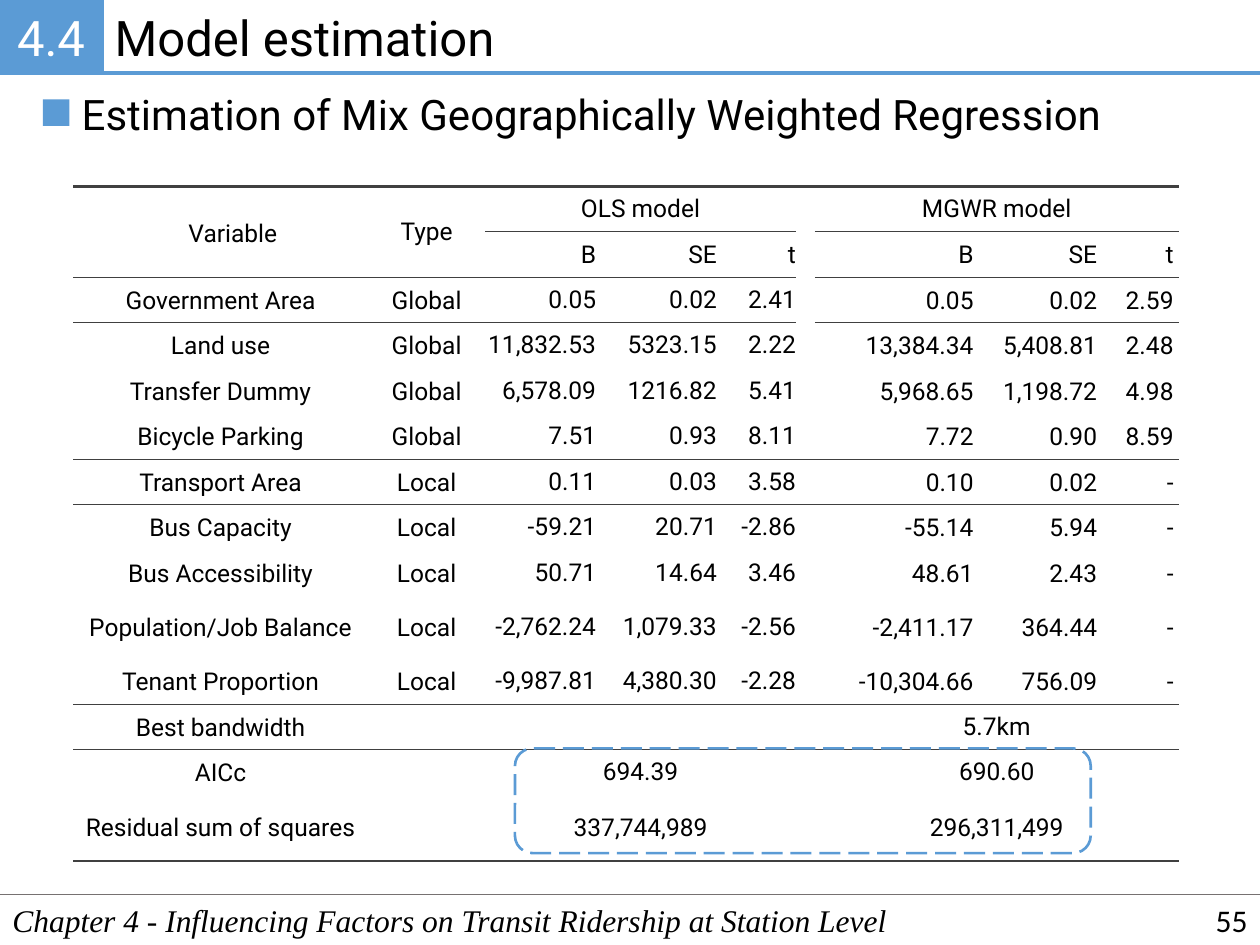
from lxml import etree
from pptx import Presentation
from pptx.dml.color import RGBColor
from pptx.enum.dml import MSO_LINE
from pptx.enum.shapes import MSO_CONNECTOR, MSO_SHAPE
from pptx.enum.text import MSO_ANCHOR, MSO_AUTO_SIZE, PP_ALIGN
from pptx.oxml.ns import qn
from pptx.util import Pt

LEFT, CENTER, RIGHT = PP_ALIGN.LEFT, PP_ALIGN.CENTER, PP_ALIGN.RIGHT
TOP, MIDDLE = MSO_ANCHOR.TOP, MSO_ANCHOR.MIDDLE
RECT, ROUND = MSO_SHAPE.RECTANGLE, MSO_SHAPE.ROUNDED_RECTANGLE
STRAIGHT = MSO_CONNECTOR.STRAIGHT
DASH = MSO_LINE.LONG_DASH
FIXED = MSO_AUTO_SIZE.NONE

BLUE = RGBColor(0x5B, 0x9B, 0xD5)
GRAY = RGBColor(0x76, 0x71, 0x71)
DARK = RGBColor(0x40, 0x40, 0x40)
BLACK = RGBColor(0, 0, 0)
WHITE = RGBColor(255, 255, 255)

PLAIN = "{2D5ABB26-0587-4C30-8999-92F81FD0307C}"
WIDTHS = [168.5, 67, 63.4, 69, 45.2, 10.8, 93.6, 70.6, 43.7]
HEIGHTS = [26] * 9 + [36] + [26] * 3 + [37.4]
ALL = set(range(9))
MODELS = ALL - {0, 1, 5}
RULES = {0: (1.5, ALL), 1: (0.5, MODELS), 2: (0.5, ALL - {5}),
         6: (0.5, ALL), 11: (0.5, ALL), 14: (1.5, ALL)}
ROWS = [
    ["　Variable", "Type", "OLS model", "", "", "", "MGWR model", "", ""],
    ["", "", "B", "SE", "t", "", "B", "SE", "t"],
    ["Government Area", "Global", "0.05", "0.02", "2.41", "", "0.05", "0.02", "2.59"],
    ["Land use", "Global", "11,832.53", "5323.15", "2.22", "", "13,384.34", "5,408.81", "2.48"],
    ["Transfer Dummy", "Global", "6,578.09", "1216.82", "5.41", "", "5,968.65", "1,198.72", "4.98"],
    ["Bicycle Parking", "Global", "7.51", "0.93", "8.11", "", "7.72", "0.90", "8.59"],
    ["Transport Area", "Local", "0.11", "0.03", "3.58", "", "0.10", "0.02", "-"],
    ["Bus Capacity", "Local", "-59.21", "20.71", "-2.86", "", "-55.14", "5.94", "-"],
    ["Bus Accessibility", "Local", "50.71", "14.64", "3.46", "", "48.61", "2.43", "-"],
    ["Population/Job Balance", "Local", "-2,762.24", "1,079.33", "-2.56", "", "-2,411.17", "364.44", "-"],
    ["Tenant Proportion", "Local", "-9,987.81", "4,380.30", "-2.28", "", "-10,304.66", "756.09", "-"],
    ["Best bandwidth", "", "", "", "", "", "5.7km", "", ""],
    ["AICc", "", "694.39", "", "", "", "690.60", "", ""],
    ["Residual sum of squares", "", "337,744,989", "", "", "", "296,311,499", "", ""],
]
WIDE = [0, 11, 12, 13]


def write(frame, text, size, color=BLACK, align=LEFT, face="Roboto", italic=False):
    frame.text = text
    para = frame.paragraphs[0]
    para.alignment = align
    for run in para.runs:
        font = run.font
        font.name, font.size, font.italic = face, Pt(size), italic
        font.color.rgb = color


def label(shapes, box, text, size, wrap=True, anchor=TOP, **style):
    frame = shapes.add_textbox(*map(Pt, box)).text_frame
    frame.word_wrap = wrap
    frame.vertical_anchor = anchor
    write(frame, text, size, **style)


def block(shapes, kind, box, fill, weight):
    shape = shapes.add_shape(kind, *map(Pt, box))
    shape.shadow.inherit = False
    if fill:
        shape.fill.solid()
        shape.fill.fore_color.rgb = fill
    else:
        shape.fill.background()
    if weight:
        shape.line.color.rgb = BLUE
        shape.line.width = Pt(weight)
    else:
        shape.line.fill.background()
    return shape


def rule(shapes, x, y, end, color, weight):
    line = shapes.add_connector(STRAIGHT, Pt(x), Pt(y), Pt(end), Pt(y))
    line.line.color.rgb = color
    line.line.width = Pt(weight)
    etree.SubElement(line._element.spPr, qn("a:effectLst"))


def header(slide, x, y, w, h):
    tab = 58.3
    title = slide.shapes.title
    title.left, title.top = Pt(x + tab), Pt(y + 0.7)
    title.width, title.height = Pt(w - tab), Pt(h - 0.7)
    frame = title.text_frame
    frame.auto_size = FIXED
    frame.vertical_anchor = TOP
    write(frame, "Model estimation", 28)
    badge = block(slide.shapes, RECT, (x, y, tab, h), BLUE, 2.25)
    frame = badge.text_frame
    frame.margin_left = frame.margin_right = Pt(4.3)
    frame.margin_top = frame.margin_bottom = Pt(4.3)
    frame.vertical_anchor = MIDDLE
    write(frame, "4.4", 28, WHITE, CENTER)
    rule(slide.shapes, x + tab, y + h, x + w, BLUE, 2.25)


def heading(slide, x, y, w, h):
    shapes = slide.shapes.add_group_shape().shapes
    block(shapes, RECT, (x, y + 10, 15.1, 15.1), BLUE, 0)
    label(shapes, (x + 15.1, y, w - 15.1, h),
          "Estimation of Mix Geographically Weighted Regression", 24, wrap=False)


def edge(cell, side, weight):
    line = etree.SubElement(cell._tc.get_or_add_tcPr(), qn("a:" + side), w=str(Pt(weight)))
    fill = etree.SubElement(line, qn("a:solidFill"))
    etree.SubElement(fill, qn("a:srgbClr"), val=str(DARK))


def pad(cell, side, top, base):
    cell.margin_left = cell.margin_right = Pt(side)
    cell.margin_top, cell.margin_bottom = Pt(top), Pt(base)


def fill_cell(cell, row, col):
    for side, at in (("lnT", row), ("lnB", row + 1)):
        weight, cols = RULES.get(at, (0, ()))
        if col in cols:
            edge(cell, side, weight)
    cell.fill.background()
    cell.vertical_anchor = MIDDLE
    text = ROWS[row][col]
    wide = row in WIDE and col in MODELS
    if not text:
        pad(cell, 0, 0, 0)
    elif wide or row == 0:
        pad(cell, 7.2, 3.6, 3.6)
    elif 2 <= col <= 4:
        pad(cell, 0, 0, 0)
    else:
        pad(cell, 2.9, 0.7, 0)
    align = CENTER if wide or col < 2 else RIGHT
    write(cell.text_frame, text, 14, align=align)


def results(slide, x, y, w, h):
    shape = slide.shapes.add_table(len(ROWS), len(WIDTHS), Pt(x), Pt(y), Pt(w), Pt(h))
    grid = shape.table
    grid.first_row = grid.horz_banding = False
    grid._tbl.tblPr.find(qn("a:tableStyleId")).text = PLAIN
    for col, width in zip(grid.columns, WIDTHS):
        col.width = Pt(width)
    for row, height in zip(grid.rows, HEIGHTS):
        row.height = Pt(height)
    for row in range(len(ROWS)):
        for col in range(len(WIDTHS)):
            fill_cell(grid.cell(row, col), row, col)
    for col in (0, 1):
        grid.cell(0, col).merge(grid.cell(1, col))
    for row in WIDE:
        for col in (2, 6):
            grid.cell(row, col).merge(grid.cell(row, col + 2))
    frame = block(slide.shapes, ROUND, (x + 252.5, y + 321.2, 329, 59.8), None, 1.5)
    frame.line.dash_style = DASH


def footer(slide, x, y, w, h):
    rule(slide.shapes, x, y, x + w, GRAY, 1)
    label(slide.shapes, (x, y, w, h),
          "Chapter 4 - Influencing Factors on Transit Ridership at Station Level",
          18, face="Times New Roman", italic=True)
    label(slide.shapes, (x + w - 162, y, 162, h), "55", 18,
          anchor=MIDDLE, align=RIGHT, face="Calibri")


def main():
    deck = Presentation()
    deck.slide_width, deck.slide_height = Pt(720), Pt(540)
    slide = deck.slides.add_slide(deck.slide_layouts[5])
    header(slide, 0, 0, 720, 41.8)
    heading(slide, 24.5, 46.8, 621.4, 36)
    results(slide, 41.8, 106.5, sum(WIDTHS), sum(HEIGHTS))
    footer(slide, 0, 511.2, 720, 28.8)
    deck.save("out.pptx")


if __name__ == "__main__":
    main()
